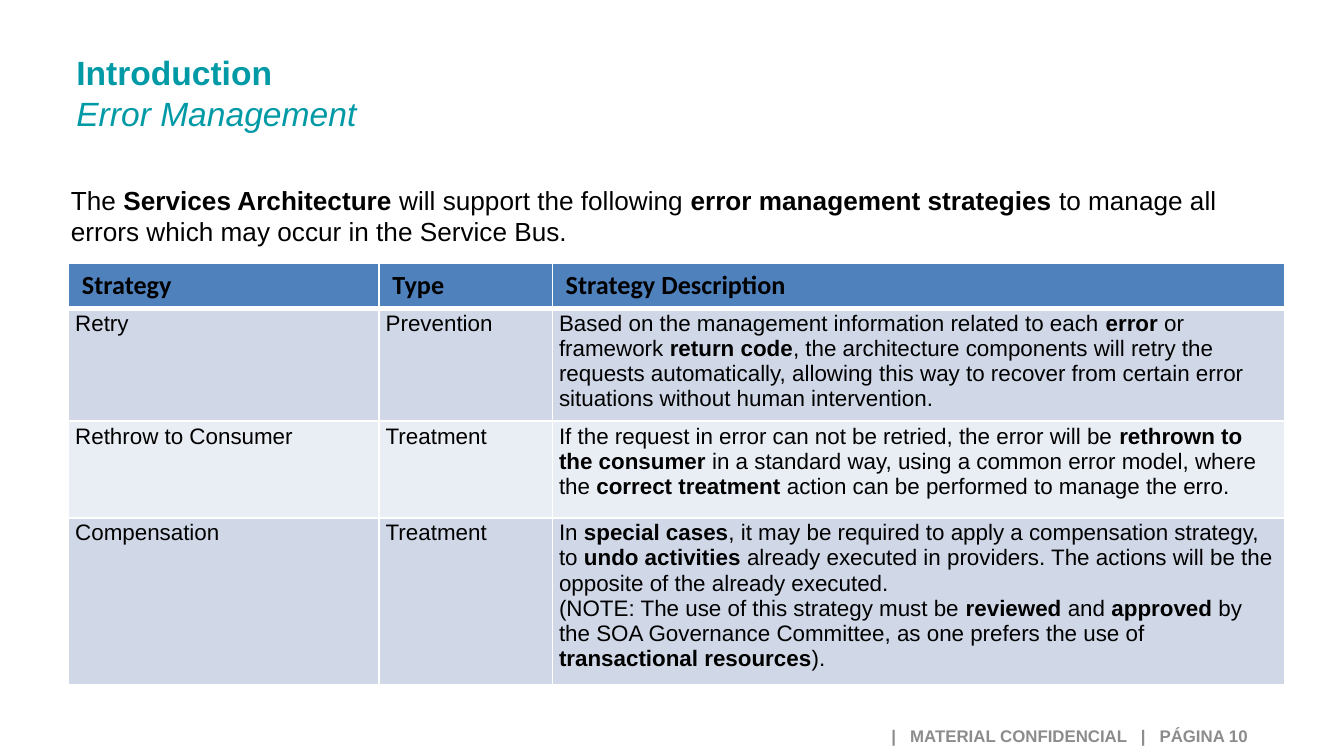
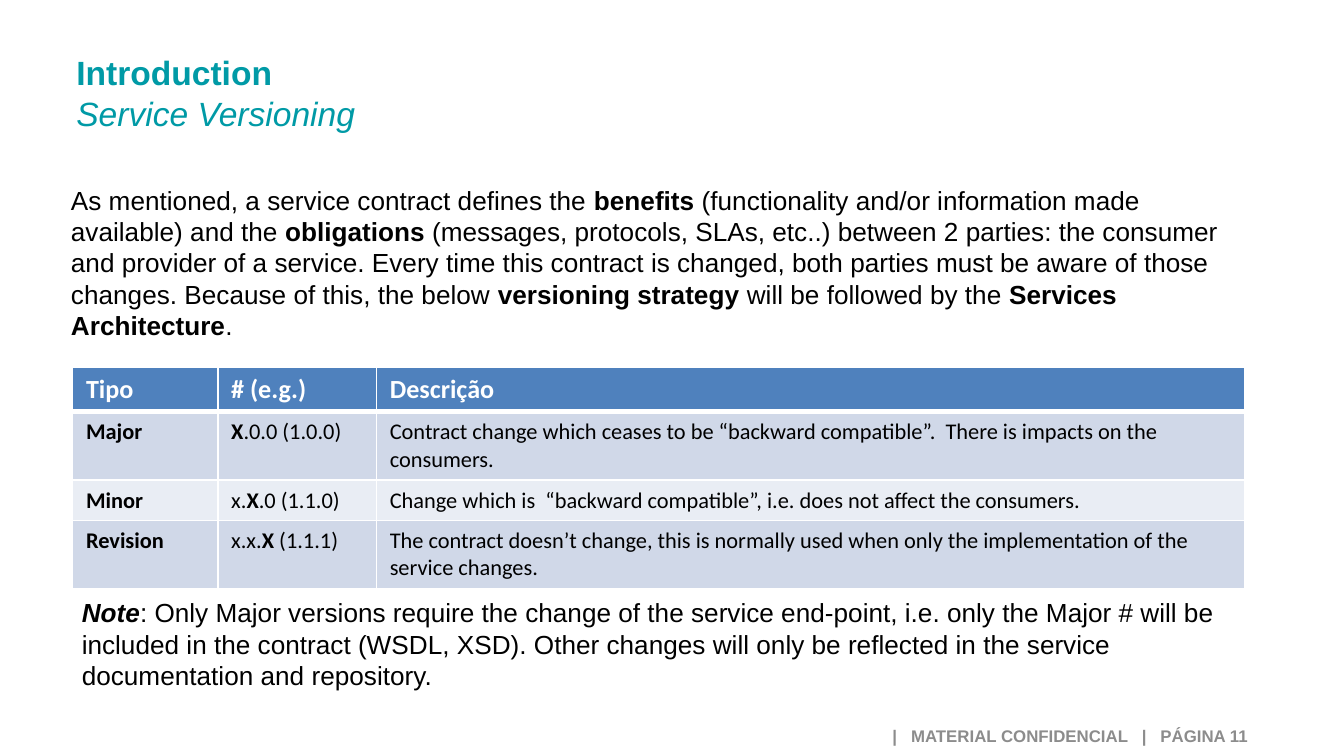
from lxml.etree import SubElement
from pptx import Presentation
from pptx.dml.color import RGBColor
from pptx.enum.text import MSO_ANCHOR as Anchor, PP_ALIGN as Align
from pptx.oxml.ns import qn
from pptx.util import Emu, Pt

PX = 9144  # EMU in one px, 100 px to the inch
TEAL = RGBColor(0x00, 0x9A, 0xA6)
GREY = RGBColor(0x8C, 0x8C, 0x8C)
BLACK = RGBColor(0x00, 0x00, 0x00)
WHITE = RGBColor(0xFF, 0xFF, 0xFF)
HEADER_BLUE = RGBColor(0x4F, 0x81, 0xBD)
BANDS = [RGBColor(0xD0, 0xD8, 0xE8), RGBColor(0xE9, 0xED, 0xF4)]

TITLE = dict(size=Pt(18), name="Arial", color=TEAL)
BODY = dict(size=Pt(14), name="Arial", color=BLACK)
FOOTER = dict(size=Pt(9), name="Arial", color=GREY, bold=True)
HEADER = dict(size=Pt(14), name="Calibri", bold=True)
CELL = dict(size=Pt(12), color=BLACK)
STRONG = dict(bold=True)
STRONG_ITALIC = dict(bold=True, italic=True)

TITLE_BOX = (47, 34, 740, 71)
FOOTER_BOX = (516, 533, 422, 29)
TIGHT_INSETS = dict(margin_left=5, margin_top=2, margin_right=5, margin_bottom=2)

ERROR_INTRO = (
    "The *Services Architecture *will support the following *error management "
    "strategies *to manage all errors which may occur in the Service Bus.")
STRATEGIES = [
    ["Strategy", "Type", "Strategy Description"],
    ["Retry", "Prevention",
     "Based on the management information related to each *error* or framework "
     "*return code*, the architecture components will retry the requests "
     "automatically, allowing this way to recover from certain error situations "
     "without human intervention."],
    ["Rethrow to Consumer", "Treatment",
     "If the request in error can not be retried, the error will be *rethrown to "
     "the consumer* in a standard way, using a common error model, where the "
     "*correct treatment *action can be performed to manage the erro."],
    ["Compensation", "Treatment",
     "In *special cases*, it may be required to apply a compensation strategy, to "
     "*undo activities *already executed in providers. The actions will be the "
     "opposite of the already executed.\n"
     "(NOTE: The use of this strategy must be *reviewed* and *approved* by the SOA "
     "Governance Committee, as one prefers the use of *transactional resources*)."],
]
VERSION_INTRO = (
    "As mentioned, a service contract defines the *benefits* (functionality and/or "
    "information made available) and the *obligations* (messages, protocols, SLAs, "
    "etc..) between 2 parties: the consumer and provider of a service. Every time "
    "this contract is changed, both parties must be aware of those changes. Because "
    "of this, the below *versioning strategy *will be followed by the *Services "
    "Architecture*.")
VERSIONS = [
    ["Tipo", "# (e.g.)", "Descrição"],
    ["*Major*", "*X*.0.0 (1.0.0)",
     "Contract change which ceases to be “backward compatible”.  There is impacts "
     "on the consumers."],
    ["*Minor*", "x.*X*.0 (1.1.0)",
     "Change which is  “backward compatible”, i.e. does not affect the consumers."],
    ["*Revision*", "x.x.*X* (1.1.1)",
     "The contract doesn’t change, this is normally used when only the "
     "implementation of the service changes."],
]
VERSION_NOTE = (
    "*Note*: Only Major versions require the change of the service end-point, i.e. "
    "only the Major # will be included in the contract (WSDL, XSD). Other changes "
    "will only be reflected in the service documentation and repository.")


def px(*lengths):
    return [Emu(length * PX) for length in lengths]


def add_run(paragraph, words, look):
    run = paragraph.add_run()
    run.text = words
    for key, value in look.items():
        if key == "color":
            run.font.color.rgb = value
        else:
            setattr(run.font, key, value)


def write(frame, text, look, strong=STRONG, align=None):
    """Fill a frame, one paragraph a line; words between asterisks are strong."""
    for number, line in enumerate(text.split("\n")):
        paragraph = frame.add_paragraph() if number else frame.paragraphs[0]
        paragraph.alignment = align
        for part, words in enumerate(line.split("*")):
            if words:
                add_run(paragraph, words, {**look, **strong} if part % 2 else look)


def text_frame(slide, box):
    frame = slide.shapes.add_textbox(*px(*box)).text_frame
    frame.word_wrap = True
    return frame


def add_title(slide, box, topic):
    paragraph = text_frame(slide, box).paragraphs[0]
    add_run(paragraph, "Introduction", {**TITLE, "bold": True})
    paragraph.add_line_break()
    add_run(paragraph, topic, {**TITLE, "italic": True})


def add_footer(slide, box, page):
    frame = text_frame(slide, box)
    frame.vertical_anchor = Anchor.MIDDLE
    write(frame, f" |   MATERIAL CONFIDENCIAL   |   PÁGINA {page}", FOOTER,
          align=Align.RIGHT)


def add_body(slide, box, text, strong=STRONG):
    write(text_frame(slide, box), text, BODY, strong)


def set_borders(cell, bottom):
    properties = cell._tc.get_or_add_tcPr()
    for side, width in dict(L=1, R=1, T=1, B=bottom).items():
        line = SubElement(properties, qn(f"a:ln{side}"), w=str(Pt(width)))
        fill = SubElement(line, qn("a:solidFill"))
        SubElement(fill, qn("a:srgbClr"), val=str(WHITE))


def add_grid(slide, corner, widths, heights, rows, header_look, cell_look,
             insets=None):
    grid = slide.shapes.add_table(
        len(rows), len(widths), *px(*corner, sum(widths), sum(heights))).table
    for column, width in zip(grid.columns, px(*widths)):
        column.width = width
    for row, height in zip(grid.rows, px(*heights)):
        row.height = height
    for r, texts in enumerate(rows):
        for c, text in enumerate(texts):
            cell = grid.cell(r, c)
            # The rule under the header is thicker
            set_borders(cell, bottom=1 if r else 3)
            cell.fill.solid()
            cell.fill.fore_color.rgb = BANDS[(r - 1) % 2] if r else HEADER_BLUE
            if not r:
                write(cell.text_frame, text, header_look)
                continue
            for key, value in (insets or {}).items():
                setattr(cell, key, Emu(value * PX))
            write(cell.text_frame, text, {"bold": False, **cell_look})


def start_slide(deck, topic, page):
    slide = deck.slides.add_slide(deck.slide_layouts[6])
    add_title(slide, TITLE_BOX, topic)
    add_footer(slide, FOOTER_BOX, page)
    return slide


def error_management(deck):
    slide = start_slide(deck, "Error Management", 10)
    add_body(slide, (43, 132, 913, 57), ERROR_INTRO)
    add_grid(slide, (51, 196), [231, 129, 545], [33, 78, 72, 116], STRATEGIES,
             {**HEADER, "color": BLACK}, {**CELL, "name": "Arial"}, TIGHT_INSETS)


def service_versioning(deck):
    slide = start_slide(deck, "Service Versioning", 11)
    add_body(slide, (43, 132, 874, 128), VERSION_INTRO)
    add_grid(slide, (54, 273), [108, 118, 646], [33, 51, 30, 51], VERSIONS,
             {**HEADER, "color": WHITE}, {**CELL, "name": "Calibri"})
    add_body(slide, (51, 439, 882, 81), VERSION_NOTE, STRONG_ITALIC)


def main():
    deck = Presentation()
    deck.slide_width = Emu(1000 * PX)
    deck.slide_height = Emu(deck.slide_width * 9 // 16)
    error_management(deck)
    service_versioning(deck)
    deck.save("out.pptx")


if __name__ == "__main__":
    main()
